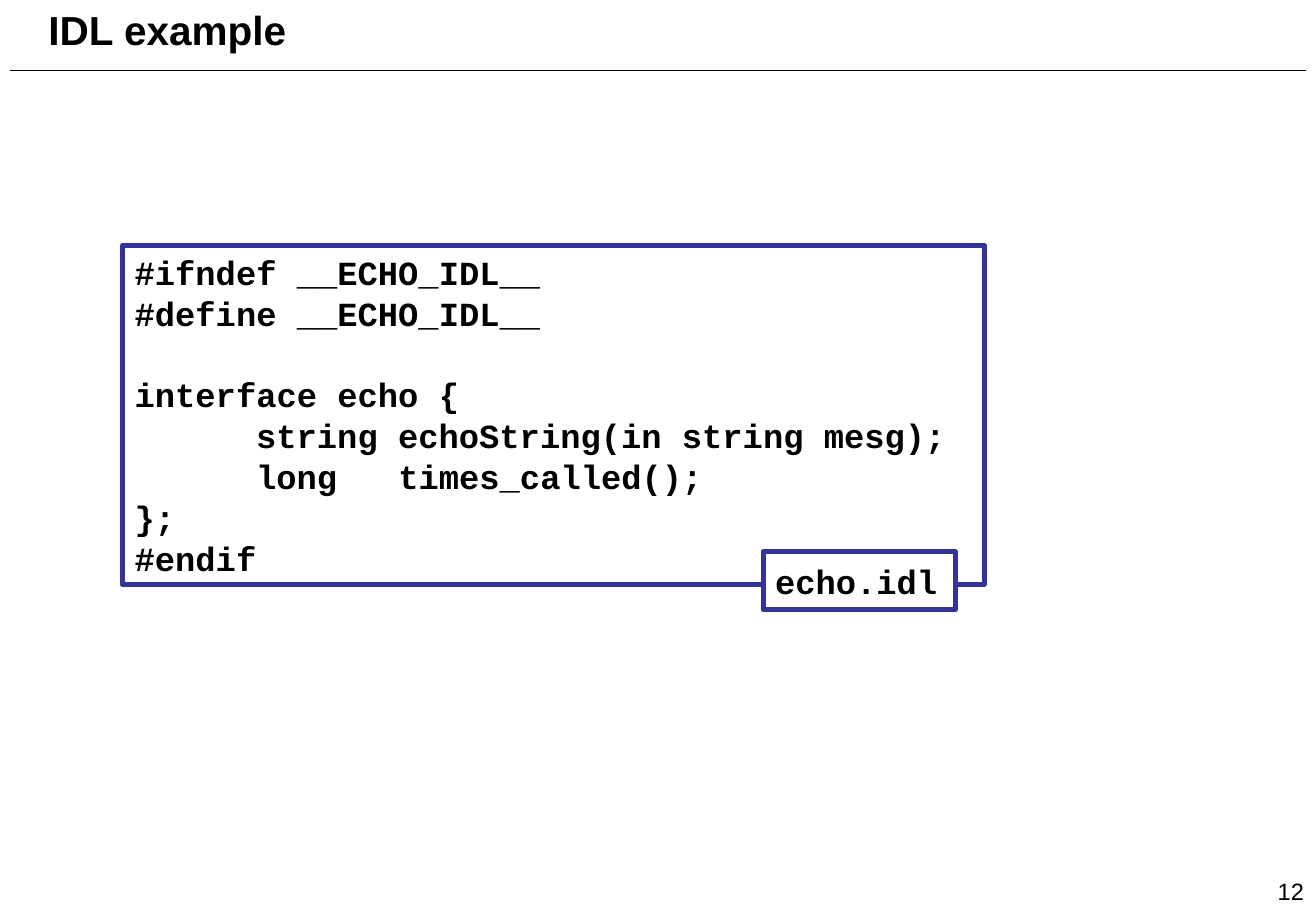
from dataclasses import dataclass

from lxml import etree
from pptx import Presentation
from pptx.dml.color import RGBColor
from pptx.enum import shapes, text
from pptx.oxml.ns import qn
from pptx.util import Inches, Pt


@dataclass(frozen=True)
class Theme:
    ink: RGBColor = RGBColor(0x00, 0x00, 0x00)
    paper: RGBColor = RGBColor(0xFF, 0xFF, 0xFF)
    frame: RGBColor = RGBColor(0x33, 0x33, 0x99)
    sans: str = "Arial"
    mono: str = "Courier New"
    title_size: float = 24
    code_size: float = 20
    number_size: float = 14
    code_pitch: float = 24.2
    frame_width: float = 3
    rule_width: float = 1


@dataclass(frozen=True)
class Block:
    left: float
    top: float
    width: float
    height: float
    lines: tuple[str, ...]
    font: str
    size: float
    bold: bool = True
    framed: bool = False
    wrap: bool = False
    align: text.PP_ALIGN = text.PP_ALIGN.LEFT
    anchor: text.MSO_ANCHOR = text.MSO_ANCHOR.TOP
    pitch: float | None = None
    tab_stops: tuple[float, ...] = ()


THEME = Theme()

CODE = (
    "#ifndef __ECHO_IDL__",
    "#define __ECHO_IDL__",
    "",
    "interface echo {",
    "\tstring echoString(in string mesg);",
    "\tlong\ttimes_called();",
    "};",
    "#endif",
)

BLOCKS = (
    Block(8.75, 7, 2.08, 0.5, ("12",), THEME.sans, THEME.number_size, bold=False,
          wrap=True, align=text.PP_ALIGN.RIGHT, anchor=text.MSO_ANCHOR.BOTTOM),
    Block(0.3, -0.01, 2.16, 0.5, ("IDL example",), THEME.sans, THEME.title_size),
    Block(1.01, 2.02, 7.09, 2.79, CODE, THEME.mono, THEME.code_size, framed=True,
          wrap=True, pitch=THEME.code_pitch, tab_stops=(1, 2.17)),
    Block(6.28, 4.54, 1.58, 0.48, ("echo.idl",), THEME.mono, THEME.code_size,
          framed=True, anchor=text.MSO_ANCHOR.MIDDLE),
)


def add_tab_stops(p, stops: tuple[float, ...]) -> None:
    tabs = etree.SubElement(p._p.get_or_add_pPr(), qn("a:tabLst"))
    for stop in stops:
        etree.SubElement(tabs, qn("a:tab"), pos=str(Inches(stop)), algn="l")


def add_block(slide, block: Block) -> None:
    box = [Inches(n) for n in (block.left, block.top, block.width, block.height)]
    if block.framed:
        sp = slide.shapes.add_shape(shapes.MSO_SHAPE.RECTANGLE, *box)
        sp.shadow.inherit = False
        sp.fill.solid()
        sp.fill.fore_color.rgb = THEME.paper
        sp.line.color.rgb = THEME.frame
        sp.line.width = Pt(THEME.frame_width)
    else:
        sp = slide.shapes.add_textbox(*box)
    tf = sp.text_frame
    tf.word_wrap = block.wrap
    tf.vertical_anchor = block.anchor
    first, gap = True, 0.0
    for line in block.lines:
        if not line:
            gap += block.pitch or block.size
            continue
        p = tf.paragraphs[0] if first else tf.add_paragraph()
        p.alignment = block.align
        p.space_before = Pt(gap)
        if block.pitch:
            p.line_spacing = Pt(block.pitch)
        if "\t" in line:
            add_tab_stops(p, block.tab_stops)
        r = p.add_run()
        r.text = line
        r.font.name = block.font
        r.font.size = Pt(block.size)
        r.font.bold = block.bold
        r.font.color.rgb = THEME.ink
        first, gap = False, 0.0


def add_title_rule(slide) -> None:
    rule = slide.shapes.add_connector(
        shapes.MSO_CONNECTOR.STRAIGHT,
        Inches(0.08), Inches(0.58), Inches(10.75), Inches(0.58))
    rule.line.color.rgb = THEME.ink
    rule.line.width = Pt(THEME.rule_width)
    etree.SubElement(rule._element.spPr, qn("a:effectLst"))


def main() -> None:
    prs = Presentation()
    prs.slide_width = Inches(10.83)
    prs.slide_height = Inches(7.5)
    slide = prs.slides.add_slide(prs.slide_layouts[6])
    add_title_rule(slide)
    for block in BLOCKS:
        add_block(slide, block)
    prs.save("out.pptx")


if __name__ == "__main__":
    main()
